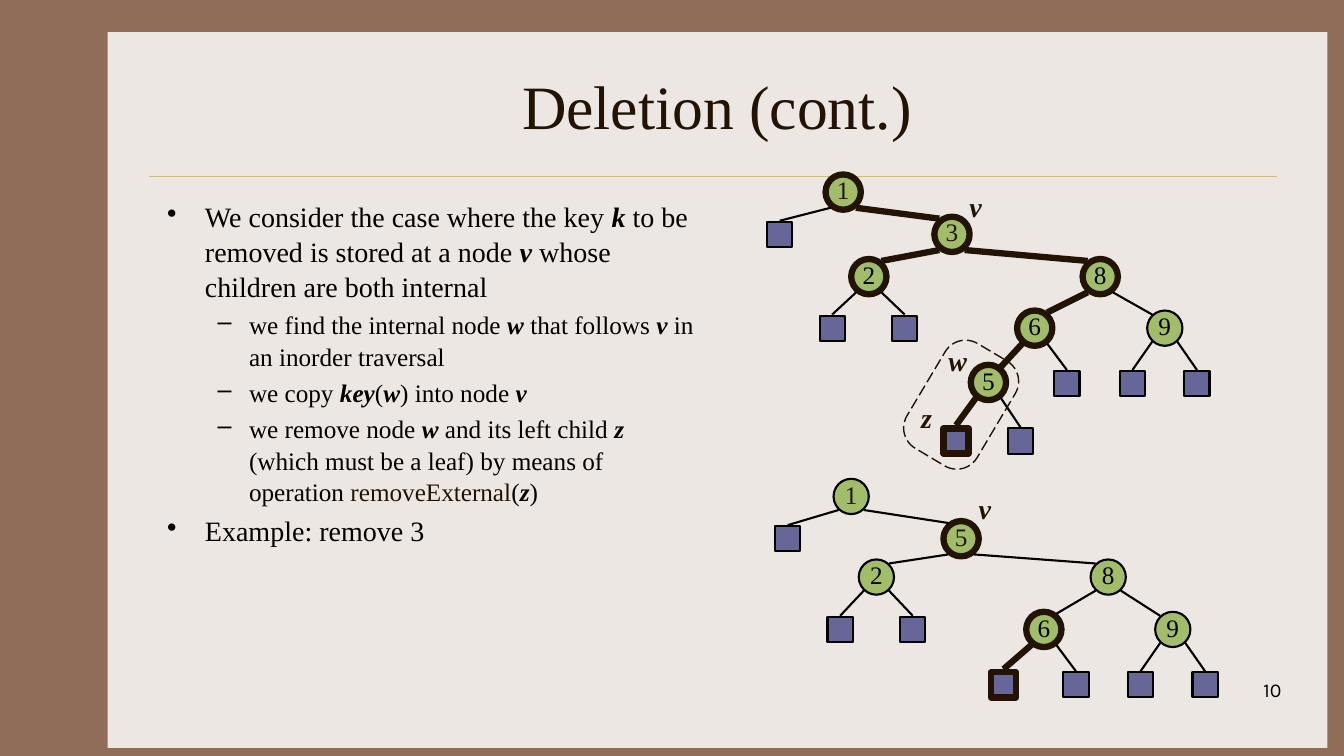
import pptx
import pptx.util
import pptx.dml.color
import pptx.enum.dml
import pptx.enum.shapes
import pptx.enum.text
import pptx.oxml.ns
from lxml import etree

Pt = pptx.util.Pt
RGB = pptx.dml.color.RGBColor
Shape = pptx.enum.shapes.MSO_SHAPE
Align = pptx.enum.text.PP_ALIGN
Anchor = pptx.enum.text.MSO_ANCHOR
qn = pptx.oxml.ns.qn

BROWN = RGB(0x90, 0x6D, 0x58)
PAPER = RGB(0xED, 0xE7, 0xE3)
GOLD = RGB(0xCB, 0xBD, 0x83)
INK = RGB(0x22, 0x13, 0x04)
BLACK = RGB(0, 0, 0)
GREEN = RGB(0xA1, 0xBD, 0x69)
SLATE = RGB(0x66, 0x66, 0x99)
SERIF = "Times New Roman"

TITLE = "Deletion (cont.)"
PAGE = "10"

VAR = {"bold": True, "italic": True}
CODE = {"color": INK}
# Each item: level, then runs; a run is plain text or (text, format).
BODY = [
    (0, ["We consider the case where the key ", ("k", VAR),
         " to be removed is stored at a node ", ("v", VAR),
         " whose children are both internal"]),
    (1, ["we find the internal node ", ("w ", VAR), "that follows ",
         ("v", VAR), " in an inorder traversal"]),
    (1, ["we copy ", ("key", VAR), "(", ("w", VAR), ") into node ",
         ("v", VAR)]),
    (1, ["we remove node ", ("w ", VAR), "and its left child ", ("z ", VAR),
         "(which must be a leaf) by means of operation ",
         ("removeExternal", CODE), "(", ("z", VAR), ")"]),
    (0, ["Example: remove 3"]),
]
# Per level: size, left margin, bullet offset, bullet
LEVELS = [(20, 27, 27, "•"), (18, 58.5, 22.5, "–")]

# Node: key (empty for a leaf), centre x, centre y, on path, text colour, parent
BEFORE = [
    ("1", 602.3, 137.2, True, INK, None),
    ("3", 680, 167.4, True, INK, 0),
    ("2", 620.6, 197.6, True, BLACK, 1),
    ("8", 785.9, 197.6, True, BLACK, 1),
    ("6", 739.1, 234.4, True, BLACK, 3),
    ("9", 832, 234.4, False, BLACK, 3),
    ("5", 706, 273.2, True, BLACK, 4),
    ("", 556.9, 167.4, False, BLACK, 0),
    ("", 594.4, 234.4, False, BLACK, 2),
    ("", 646.2, 234.4, False, BLACK, 2),
    ("", 762.1, 274, False, BLACK, 4),
    ("", 808.9, 274, False, BLACK, 5),
    ("", 855, 274, False, BLACK, 5),
    ("", 682.9, 315, True, BLACK, 6),
    ("", 729, 315, False, BLACK, 6),
]
AFTER = [
    ("1", 608, 354.6, False, INK, None),
    ("5", 686.5, 384.8, True, INK, 0),
    ("2", 626, 412.2, False, BLACK, 1),
    ("8", 791.6, 412.2, False, BLACK, 1),
    ("6", 745.6, 449.6, True, BLACK, 3),
    ("9", 837.7, 449.6, False, BLACK, 3),
    ("", 562.7, 384.8, False, BLACK, 0),
    ("", 600.1, 449.6, False, BLACK, 2),
    ("", 652, 449.6, False, BLACK, 2),
    ("", 716.8, 489.2, True, BLACK, 4),
    ("", 768.6, 489.2, False, BLACK, 4),
    ("", 814.7, 489.2, False, BLACK, 5),
    ("", 860.8, 489.2, False, BLACK, 5),
]
# Label: text, left, top, width
LABELS = [("v", 685.4, 131.8, 23), ("w", 670.3, 241.9, 28),
          ("z", 650.9, 282.2, 22.3), ("v", 691.9, 347.8, 23)]
LABEL_H = 31
ROUND, SQUARE = 25.2, 18
THIN, THICK = 1.5, 4.5
SIDE = 9  # sideways step from a circle's centre to where an edge meets it

deck = pptx.Presentation()
deck.slide_width, deck.slide_height = Pt(960), Pt(540)
slide = deck.slides.add_slide(deck.slide_layouts[6])
slide.background.fill.solid()
slide.background.fill.fore_color.rgb = BROWN


def write(para, text, size=18, color=BLACK, font=SERIF, bold=False,
          italic=False, align=None):
    run = para.add_run()
    run.text = text
    run.font.size, run.font.name = Pt(size), font
    run.font.bold, run.font.italic = bold, italic
    run.font.color.rgb = color
    if align is not None:
        para.alignment = align


def box(x, y, w, h, wrap=True):
    frame = slide.shapes.add_textbox(Pt(x), Pt(y), Pt(w), Pt(h)).text_frame
    frame.word_wrap = wrap
    return frame


def shape(kind, x, y, w, h, fill=None, line=None, width=THIN):
    item = slide.shapes.add_shape(kind, Pt(x), Pt(y), Pt(w), Pt(h))
    item.shadow.inherit = False
    for part, color in ((item.fill, fill), (item.line.fill, line)):
        if color is None:
            part.background()
        else:
            part.solid()
            part.fore_color.rgb = color
    if line is not None:
        item.line.width = Pt(width)
    return item


def join(x1, y1, x2, y2, color, width):
    edge = slide.shapes.add_connector(
        pptx.enum.shapes.MSO_CONNECTOR.STRAIGHT,
        Pt(x1), Pt(y1), Pt(x2), Pt(y2))
    edge.line.color.rgb, edge.line.width = color, Pt(width)
    etree.SubElement(edge._element.spPr, qn("a:effectLst"))


def pen(bold):
    return (INK, THICK) if bold else (BLACK, THIN)


def reach(bold):
    """Height from a node's centre to where its edges meet it."""
    return 11.2 if bold else 9.7


def tree(nodes):
    for key, x, y, bold, ink, up in nodes:
        size = ROUND if key else SQUARE
        node = shape(Shape.OVAL if key else Shape.RECTANGLE,
                     x - size / 2, y - size / 2, size, size,
                     GREEN if key else SLATE, *pen(bold))
        if key:
            frame = node.text_frame
            frame.margin_left = frame.margin_right = frame.margin_top = 0
            frame.margin_bottom = Pt(3.6)
            frame.word_wrap = False
            frame.vertical_anchor = Anchor.MIDDLE
            write(frame.paragraphs[0], key, color=ink, align=Align.CENTER)
    for key, x, y, bold, ink, up in nodes:
        if up is None:
            continue
        _, px, py, thick, _, _ = nodes[up]
        side = SIDE if x > px else -SIDE
        join(px + side, py + reach(thick),
             x - side if key else x, y - reach(bold), *pen(bold and thick))


shape(Shape.RECTANGLE, 77, 23, 871.2, 511.2, PAPER)
join(106.6, 126, 912.2, 126, GOLD, 0.25)

head = box(112.3, 30.2, 800, 90)
head.vertical_anchor = Anchor.MIDDLE
write(head.paragraphs[0], TITLE, size=44, color=INK, align=Align.CENTER)

body = box(112.3, 138.2, 391.7, 324)
for i, (level, runs) in enumerate(BODY):
    para = body.add_paragraph() if i else body.paragraphs[0]
    size, left, hang, mark = LEVELS[level]
    para.level = level
    para.line_spacing, para.space_before = 1.04, Pt(size * 0.2)
    props = para._p.get_or_add_pPr()
    props.set("marL", str(Pt(left)))
    props.set("indent", str(-Pt(hang)))
    etree.SubElement(props, qn("a:buChar")).set("char", mark)
    for run in runs:
        text, form = (run, {}) if isinstance(run, str) else run
        write(para, text, size=size, **form)

write(box(722.2, 481, 200.2, 36).paragraphs[0], PAGE, size=14, font="Karla",
      align=Align.RIGHT)

tree(BEFORE)
tree(AFTER)
for text, x, y, w in LABELS:
    write(box(x, y, w, LABEL_H, wrap=False).paragraphs[0], text, size=20,
          color=INK, **VAR)

ring = shape(Shape.ROUNDED_RECTANGLE, 643, 259.9, 87.1, 58.3,
             line=INK, width=1)
ring.adjustments[0] = 0.29
ring.rotation = 300.8
ring.line.dash_style = pptx.enum.dml.MSO_LINE.LONG_DASH

deck.save("out.pptx")
